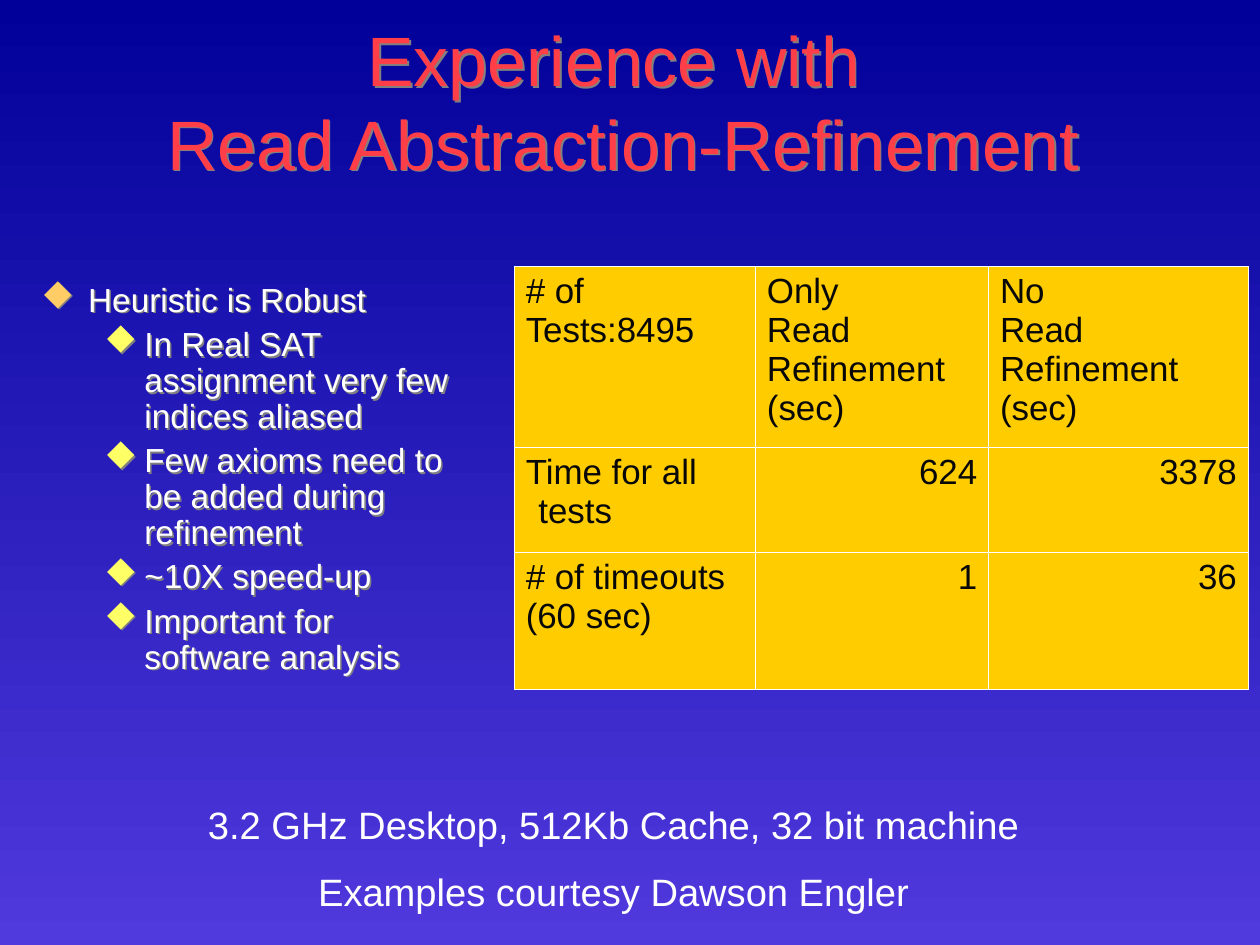
from lxml import etree
from pptx import Presentation
from pptx.dml.color import RGBColor
from pptx.enum.text import MSO_ANCHOR, MSO_AUTO_SIZE, PP_ALIGN
from pptx.oxml.ns import qn
from pptx.util import Cm, Pt

LEFT, CENTER, RIGHT = PP_ALIGN.LEFT, PP_ALIGN.CENTER, PP_ALIGN.RIGHT
MIDDLE, NO_FIT = MSO_ANCHOR.MIDDLE, MSO_AUTO_SIZE.NONE
TITLE_ONLY = 5
FONT = "Arial"
WHITE, RED, BLACK, GOLD, GREY = "FFFFFF", "FF3E48", "080808", "FFCC00", "808080"
OUTER, INNER = 1.08, 0.45

POINTS = [
    (0, "Heuristic is Robust"),
    (1, "In Real SAT assignment very few indices aliased"),
    (1, "Few axioms need to be added during refinement"),
    (1, "~10X speed-up"),
    (1, "Important for software analysis"),
]
LEVELS = [(Cm(1.04), Cm(-1.04), "FFCC66"), (Cm(2.29), Cm(-0.89), "FFFF66")]
TIMINGS = [
    [["# of", "Tests:8495"], ["Only", "Read", "Refinement", "(sec)"],
     ["No", "Read", "Refinement", "(sec)"]],
    [["Time for all tests"], ["624"], ["3378"]],
    [["# of timeouts", "(60 sec)"], ["1"], ["36"]],
]
COLUMNS = [Cm(5.36), Cm(5.18), Cm(5.77)]
ROWS = [Cm(4.01), Cm(2.34), Cm(3.05)]
FOOTER = ["3.2 GHz Desktop, 512Kb Cache, 32 bit machine",
          "Examples courtesy Dawson Engler"]


def colour(value):
    """Turn a hex string into a colour."""
    return RGBColor.from_string(value)


def add_child(parent, tag, **attributes):
    """Append a drawing element and return it."""
    return etree.SubElement(parent, qn(tag), attributes)


def set_font(para, size, hex_colour, align=LEFT):
    """Format a whole paragraph."""
    para.alignment = align
    para.font.name = FONT
    para.font.size = Pt(size)
    para.font.color.rgb = colour(hex_colour)


def set_indent(para, margin, first):
    """Give a paragraph a left margin and a first-line indent."""
    properties = para._p.get_or_add_pPr()
    properties.set("marL", str(margin))
    properties.set("indent", str(first))
    return properties


def add_bullet(properties, hex_colour):
    """Give a paragraph a coloured diamond bullet."""
    add_child(add_child(properties, "a:buClr"), "a:srgbClr", val=hex_colour)
    add_child(properties, "a:buFont", typeface="Wingdings", charset="2")
    add_child(properties, "a:buChar", char="u")


def add_text_shadow(box):
    """Cast a small grey shadow from the text of an unfilled box."""
    box.fill.background()
    effects = add_child(box._element.spPr, "a:effectLst")
    shadow = add_child(effects, "a:outerShdw", dist=str(Cm(0.05)), dir="2700000",
                       algn="ctr", rotWithShape="0")
    add_child(shadow, "a:srgbClr", val=GREY)


def write_lines(frame, lines):
    """Write one paragraph for each line and return the paragraphs."""
    paras = [frame.paragraphs[0]] + [frame.add_paragraph() for _ in lines[1:]]
    for para, line in zip(paras, lines):
        para.add_run().text = line
    return paras


def set_insets(frame, across, down):
    """Set the inner margins of a text frame."""
    frame.margin_left = frame.margin_right = across
    frame.margin_top = frame.margin_bottom = down


def set_background(page):
    """Fill the page with a vertical blue gradient."""
    fill = page.background.fill
    fill.gradient()
    fill.gradient_angle = 270
    for stop, value in zip(fill.gradient_stops, ("010199", "5039DD")):
        stop.color.rgb = colour(value)


def format_title(page):
    """Place and write the two-line title."""
    title = page.shapes.title
    title.left, title.top, title.width, title.height = (
        Cm(0.43), Cm(0.43), Cm(26.87), Cm(3.61))
    frame = title.text_frame
    frame.word_wrap, frame.auto_size = True, NO_FIT
    frame.vertical_anchor = MIDDLE
    set_insets(frame, Cm(0.28), Cm(0.15))
    para = frame.paragraphs[0]
    para.add_run().text = "Experience with "
    para.add_line_break()
    para.add_run().text = "Read Abstraction-Refinement"
    set_font(para, 44, RED, CENTER)
    add_text_shadow(title)


def add_textbox(page, left, top, width, height):
    """Add a wrapping text box and return it."""
    box = page.shapes.add_textbox(left, top, width, height)
    box.text_frame.word_wrap = True
    return box


def add_points(page):
    """Add the bulleted findings."""
    box = add_textbox(page, Cm(0.64), Cm(6.15), Cm(9.73), Cm(10.8))
    add_text_shadow(box)
    frame = box.text_frame
    set_insets(frame, Cm(0.28), Cm(0.15))
    paras = write_lines(frame, [text for _, text in POINTS])
    for index, (para, (level, _)) in enumerate(zip(paras, POINTS)):
        margin, first, bullet_colour = LEVELS[level]
        para.level = level
        add_bullet(set_indent(para, margin, first), bullet_colour)
        para.line_spacing = 0.9
        para.space_before = Pt(5.2 if index else 0)
        set_font(para, 21, WHITE)


def set_borders(cell, widths):
    """Draw white cell borders: left, right, top, bottom."""
    properties = cell._tc.get_or_add_tcPr()
    for position, (side, width) in enumerate(zip("LRTB", widths)):
        line = etree.Element(qn(f"a:ln{side}"), w=str(Pt(width)))
        add_child(add_child(line, "a:solidFill"), "a:srgbClr", val=WHITE)
        properties.insert(position, line)


def add_timings(page):
    """Add the table of timings."""
    table = page.shapes.add_table(
        len(ROWS), len(COLUMNS), Cm(11.43), Cm(5.92), sum(COLUMNS), sum(ROWS)).table
    table.first_row = table.horz_banding = False
    for column, width in zip(table.columns, COLUMNS):
        column.width = width
    for row, height in zip(table.rows, ROWS):
        row.height = height
    last_row, last_column = len(ROWS) - 1, len(COLUMNS) - 1
    for i, row in enumerate(TIMINGS):
        for j, lines in enumerate(row):
            cell = table.cell(i, j)
            cell.fill.solid()
            cell.fill.fore_color.rgb = colour(GOLD)
            edges = (j == 0, j == last_column, i == 0, i == last_row)
            set_borders(cell, [OUTER if edge else INNER for edge in edges])
            for para in write_lines(cell.text_frame, lines):
                set_indent(para, Cm(0.28), Cm(-0.28))
                set_font(para, 22, BLACK, RIGHT if i and j else LEFT)


def add_footer(page):
    """Add the two centred lines at the foot."""
    box = add_textbox(page, Cm(1.47), Cm(17.78), Cm(24.33), Cm(2.69))
    for index, para in enumerate(write_lines(box.text_frame, FOOTER)):
        para.line_spacing = 0.93
        para.space_before = Pt(15 if index else 0)
        set_font(para, 24, WHITE, CENTER)


def main():
    """Build the deck."""
    deck = Presentation()
    deck.slide_width, deck.slide_height = Cm(28), Cm(21)
    page = deck.slides.add_slide(deck.slide_layouts[TITLE_ONLY])
    set_background(page)
    format_title(page)
    add_points(page)
    add_timings(page)
    add_footer(page)
    deck.save("out.pptx")


if __name__ == "__main__":
    main()
